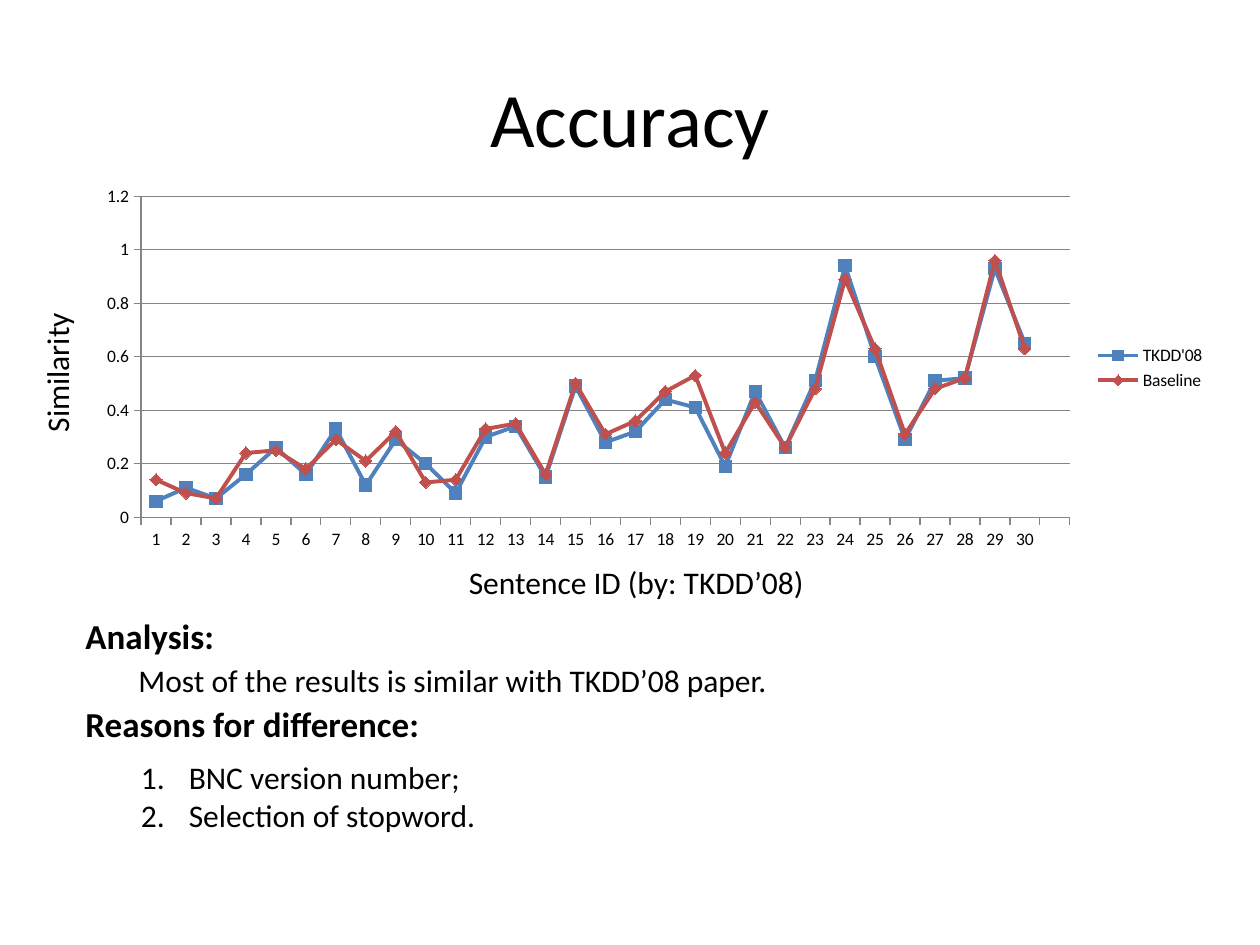
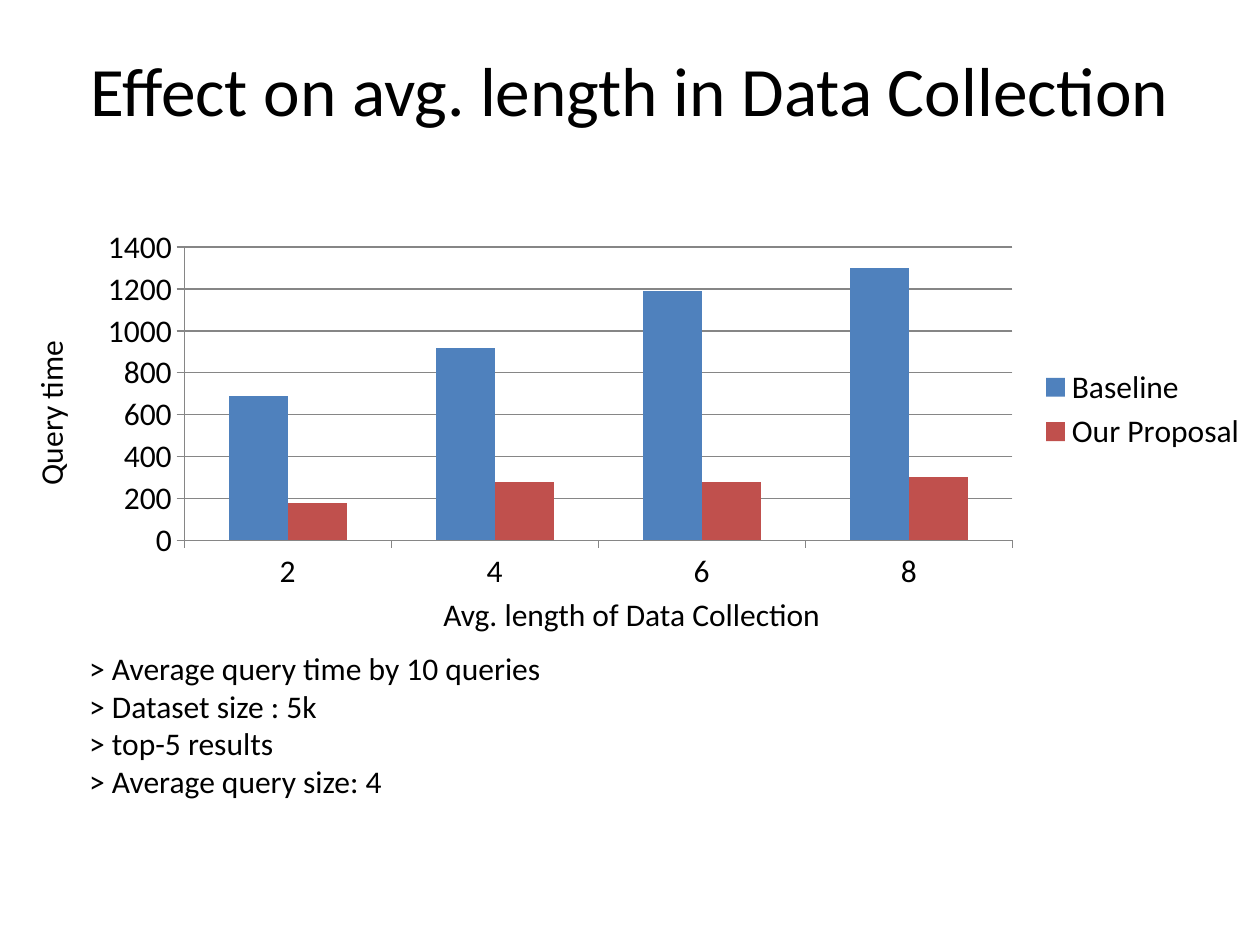
from lxml import etree
from pptx import Presentation
from pptx.chart.data import CategoryChartData
from pptx.dml.color import RGBColor
from pptx.enum.chart import XL_CHART_TYPE, XL_LEGEND_POSITION, XL_MARKER_STYLE, XL_TICK_MARK
from pptx.enum.text import MSO_ANCHOR, MSO_AUTO_SIZE, PP_ALIGN
from pptx.oxml.ns import qn
from pptx.util import Emu, Pt

PX = 9144  # 100 px to the inch
FONT = "Calibri"
COLORS = {"text": "000000", "axis": "868686", "first": "4F81BD", "second": "C0504D"}
SERIES_COLORS = ("first", "second")
LEFT, CENTER = PP_ALIGN.LEFT, PP_ALIGN.CENTER
MIDDLE = MSO_ANCHOR.MIDDLE
FIT_SHAPE, NO_FIT = MSO_AUTO_SIZE.SHAPE_TO_FIT_TEXT, MSO_AUTO_SIZE.NONE
LINE, COLUMN = XL_CHART_TYPE.LINE_MARKERS, XL_CHART_TYPE.COLUMN_CLUSTERED
LEGEND_RIGHT = XL_LEGEND_POSITION.RIGHT
MARKERS = (XL_MARKER_STYLE.SQUARE, XL_MARKER_STYLE.DIAMOND)
OUTSIDE = XL_TICK_MARK.OUTSIDE

TKDD = [0.06, 0.11, 0.07, 0.16, 0.26, 0.16, 0.33, 0.12, 0.29, 0.2,
        0.09, 0.3, 0.34, 0.15, 0.49, 0.28, 0.32, 0.44, 0.41, 0.19,
        0.47, 0.26, 0.51, 0.94, 0.6, 0.29, 0.51, 0.52, 0.93, 0.65, None]
BASELINE = [0.14, 0.09, 0.07, 0.24, 0.25, 0.18, 0.29, 0.21, 0.32, 0.13,
            0.14, 0.33, 0.35, 0.16, 0.5, 0.31, 0.36, 0.47, 0.53, 0.24,
            0.43, 0.26, 0.48, 0.89, 0.63, 0.31, 0.48, 0.52, 0.96, 0.63, None]


def px(*lengths):
    return [Emu(n * PX) for n in lengths]


def rgb(name):
    return RGBColor.from_string(COLORS[name])


def set_all(obj, **values):
    for name, value in values.items():
        setattr(obj, name, value)


class Deck:
    """Holds the presentation, its style and the current slide."""

    def __init__(self):
        self.prs = Presentation()
        self.prs.slide_width, self.prs.slide_height = px(1000, 750)
        self.s = None

    def font(self, font, size, bold=False):
        set_all(font, name=FONT, size=Pt(size), bold=bold)
        font.color.rgb = rgb("text")

    def slide(self, title, top, size=44):
        self.s = self.prs.slides.add_slide(self.prs.slide_layouts[5])
        sp = self.s.shapes.title
        sp.left, sp.top, sp.width, sp.height = px(50, top, 900, 125)
        tf = sp.text_frame
        set_all(tf, vertical_anchor=MIDDLE, auto_size=NO_FIT, word_wrap=True)
        self.paragraph(tf.paragraphs[0], title, size, align=CENTER)

    def paragraph(self, p, text, size, bold=False, align=LEFT):
        p.alignment = align
        r = p.add_run()
        r.text = text
        self.font(r.font, size, bold)

    def text(self, box, *lines, size=18, bold=False, align=LEFT, wrap=True,
             rotation=0, numbered=False):
        sp = self.s.shapes.add_textbox(*px(*box))
        sp.rotation = rotation
        tf = sp.text_frame
        set_all(tf, word_wrap=wrap, auto_size=FIT_SHAPE)
        for i, line in enumerate(lines):
            p = tf.add_paragraph() if i else tf.paragraphs[0]
            self.paragraph(p, line, size, bold, align)
            if numbered:
                self.number(p)

    def number(self, p, indent=38):
        pPr = p._p.get_or_add_pPr()
        pPr.set("marL", str(indent * PX))
        pPr.set("indent", str(-indent * PX))
        etree.SubElement(pPr, qn("a:buAutoNum"), type="arabicPeriod")

    def chart(self, box, kind, categories, series, size, top, step):
        data = CategoryChartData()
        data.categories = categories
        for name, values in series.items():
            data.add_series(name, values)
        chart = self.s.shapes.add_chart(kind, *px(*box), data).chart
        set_all(chart, has_title=False, has_legend=True)
        set_all(chart.legend, position=LEGEND_RIGHT, include_in_layout=False)
        self.font(chart.font, size)
        self.axes(chart, top, step)
        plot = chart.plots[0]
        plot.vary_by_categories = False
        if kind == COLUMN:
            set_all(plot, gap_width=150, overlap=0)
        for ser, color, marker in zip(plot.series, SERIES_COLORS, MARKERS):
            if kind == LINE:
                ser.smooth = False
                set_all(ser.marker, style=marker, size=7)
                self.line(ser.format.line, color, 2.25)
                self.line(ser.marker.format.line, color, 0.75)
                self.fill(ser.marker.format.fill, color)
            else:
                self.fill(ser.format.fill, color)

    def axes(self, chart, top, step):
        value = chart.value_axis
        set_all(value, minimum_scale=0, maximum_scale=top, major_unit=step,
                has_major_gridlines=True)
        self.line(value.major_gridlines.format.line, "axis", 0.75)
        for axis in (chart.category_axis, value):
            axis.major_tick_mark = OUTSIDE
            self.line(axis.format.line, "axis", 0.75)

    def line(self, line, color, width):
        line.color.rgb = rgb(color)
        line.width = Pt(width)

    def fill(self, fill, color):
        fill.solid()
        fill.fore_color.rgb = rgb(color)


def accuracy(deck):
    deck.slide("Accuracy", 30)
    sentences = [str(n) for n in range(1, 31)] + [""]
    deck.chart((67, 142, 900, 300), LINE, sentences,
               {"TKDD'08": TKDD, "Baseline": BASELINE}, size=10, top=1.2, step=0.2)
    deck.text((-16, 272, 122, 40), "Similarity", wrap=False, rotation=270)
    deck.text((75, 442, 860, 40), "Sentence ID (by: TKDD’08)", align=CENTER)
    for top, heading in ((483, "Analysis:"), (553, "Reasons for difference:")):
        deck.text((58, top, 442, 44), heading, size=20, bold=True)
    deck.text((100, 520, 725, 40), "Most of the results is similar with TKDD’08 paper.")
    deck.text((102, 597, 725, 71), "BNC version number;", "Selection of stopword.",
              numbered=True)


def query_time(deck):
    deck.slide("Effect on avg. length in Data Collection", 8, size=39.6)
    deck.chart((67, 175, 933, 300), COLUMN, ["2", "4", "6", "8"],
               {"Baseline": [690, 920, 1190, 1300], "Our Proposal": [180, 280, 280, 300]},
               size=18, top=1400, step=200)
    deck.text((-28, 307, 136, 40), "Query time", wrap=False, rotation=270)
    deck.text((342, 467, 323, 40), "Avg. length of Data Collection", wrap=False)
    deck.text((61, 510, 383, 131), "> Average query time by 10 queries",
              "> Dataset size : 5k", "> top-5 results", "> Average query size: 4",
              wrap=False)


def main():
    deck = Deck()
    accuracy(deck)
    query_time(deck)
    deck.prs.save("out.pptx")


if __name__ == "__main__":
    main()
